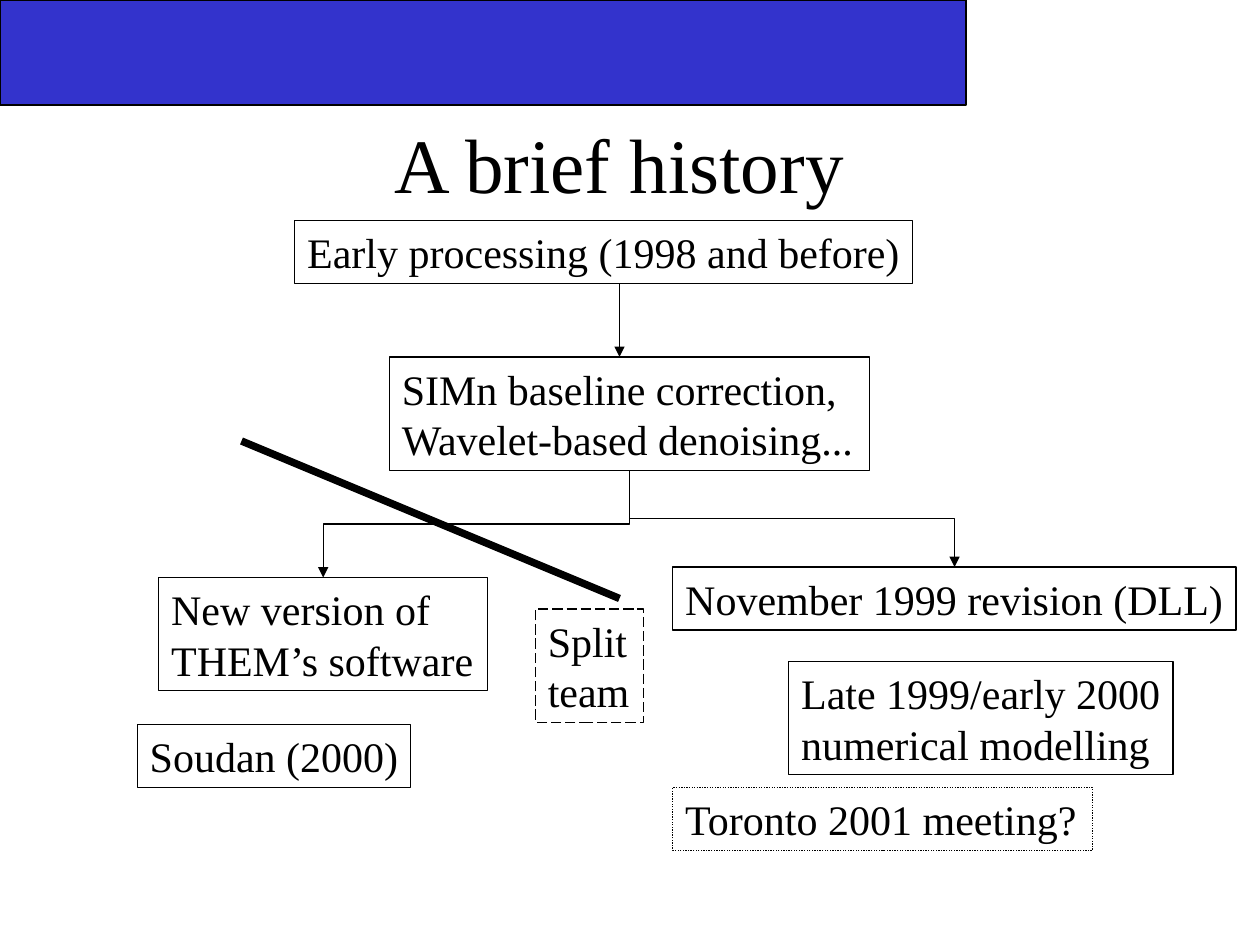
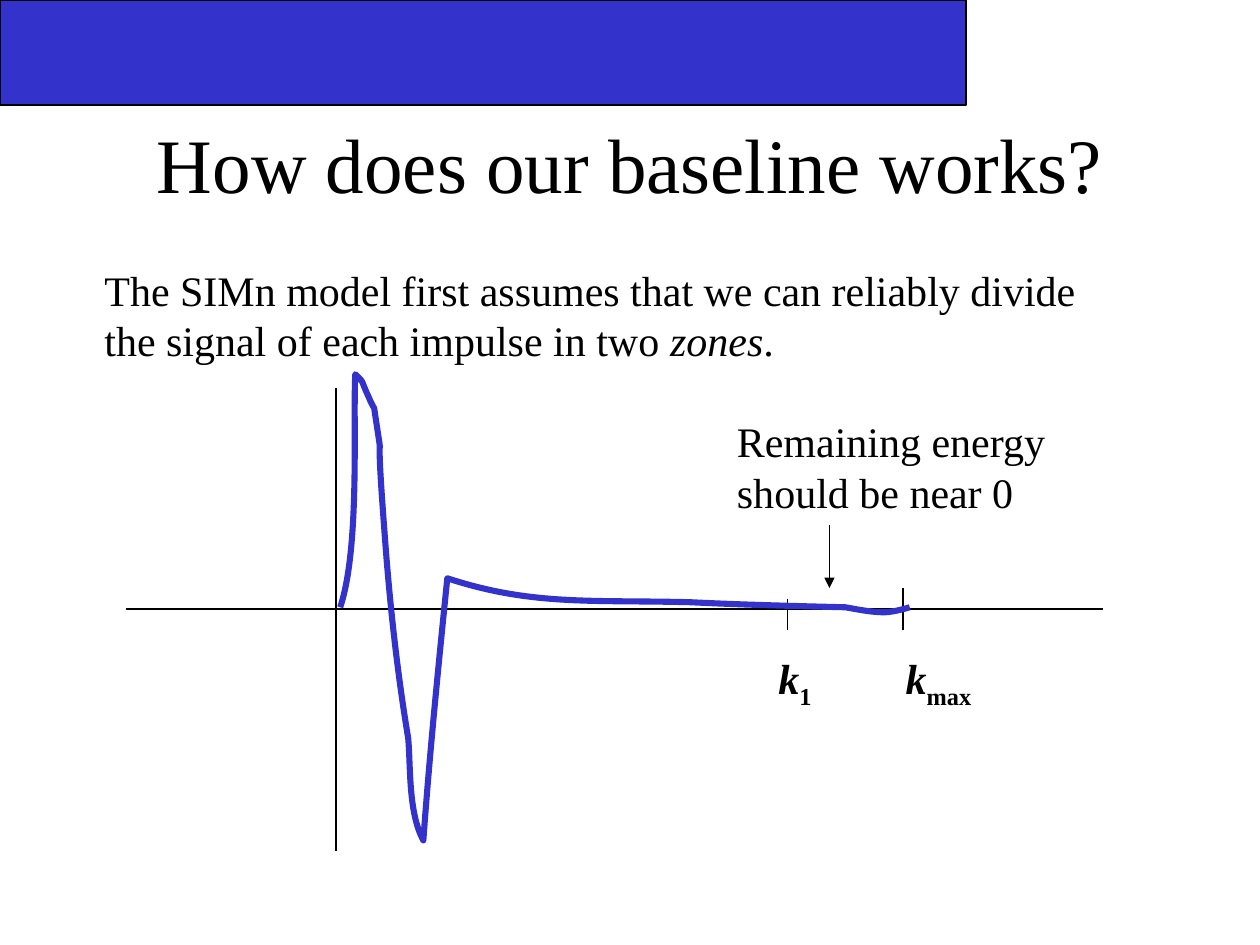
from lxml import etree
from pptx import Presentation
from pptx.dml.color import RGBColor
from pptx.enum import dml, shapes, text
from pptx.oxml.ns import qn
from pptx.util import Inches, Pt

BLACK = RGBColor(0x00, 0x00, 0x00)
BLUE = RGBColor(0x33, 0x33, 0xCC)
FONT = "Times New Roman"
BODY_SIZE, TITLE_SIZE = 24, 44
THIN, THICK, CURVE = 0.75, 4.25, 3.5
LINE_HEIGHT, PADDING = 0.4, 0.1
GRID = 12
BOTTOM, TOP = 2, 0

# Offsets from the axes' crossing: control, control, end of each Bézier piece
IMPULSE_START = (0.03, -0.01)
IMPULSE_PIECES = [
    ((0.19, -0.49), (0.13, -1.49), (0.15, -1.86)),
    ((0.23, -1.78), (0.18, -1.84), (0.26, -1.67)),
    ((0.27, -1.64), (0.30, -1.59), (0.30, -1.59)),
    ((0.39, -0.98), (0.30, -1.68), (0.38, -0.63)),
    ((0.42, -0.07), (0.48, 0.49), (0.57, 1.03)),
    ((0.59, 1.26), (0.57, 1.62), (0.69, 1.84)),
    ((0.74, 1.15), (0.81, 0.45), (0.88, -0.24)),
    ((1.55, -0.02), (2.03, -0.07), (2.81, -0.05)),
    ((3.22, -0.03), (3.63, -0.02), (4.04, -0.01)),
    ((4.15, 0.01), (4.25, 0.03), (4.35, 0.03)),
    ((4.42, 0.03), (4.55, -0.01), (4.55, -0.01)),
]


def snap(length):
    """Move a length in inches to the nearest twelfth."""
    return Inches(round(length * GRID) / GRID)


def set_font(paragraph, size):
    paragraph.font.name = FONT
    paragraph.font.size = Pt(size)
    paragraph.font.color.rgb = BLACK


def set_outline(shape, color=BLACK, width=THIN, dash=None):
    shape.line.color.rgb = color
    shape.line.width = Pt(width)
    if dash:
        shape.line.dash_style = dash


def add_titled_slide(presentation, title, left):
    """Add a slide with the shared title style and blue band."""
    slide = presentation.slides.add_slide(presentation.slide_layouts[5])
    placeholder = slide.shapes.title
    placeholder.left, placeholder.top = snap(left), snap(0.67)
    placeholder.width, placeholder.height = Inches(8.5), Inches(1.25)
    frame = placeholder.text_frame
    frame.text = title
    frame.vertical_anchor = text.MSO_ANCHOR.MIDDLE
    frame.paragraphs[0].alignment = text.PP_ALIGN.CENTER
    set_font(frame.paragraphs[0], TITLE_SIZE)

    band = slide.shapes.add_shape(
        shapes.MSO_SHAPE.RECTANGLE, 0, 0, snap(7.67), snap(0.83))
    band.shadow.inherit = False
    band.fill.solid()
    band.fill.fore_color.rgb = BLUE
    set_outline(band)
    return slide


def fill_text(shape, content, wrap=False):
    frame = shape.text_frame
    frame.text = content
    frame.word_wrap = wrap
    frame.auto_size = text.MSO_AUTO_SIZE.SHAPE_TO_FIT_TEXT
    frame.vertical_anchor = text.MSO_ANCHOR.TOP
    for paragraph in frame.paragraphs:
        paragraph.alignment = text.PP_ALIGN.LEFT
        set_font(paragraph, BODY_SIZE)
    return frame


def text_height(content):
    return LINE_HEIGHT * (content.count("\n") + 1) + PADDING


def add_box(slide, left, top, width, content, dash=None, wrap=False):
    box = slide.shapes.add_shape(
        shapes.MSO_SHAPE.RECTANGLE, Inches(left), snap(top),
        Inches(width), Inches(text_height(content)))
    box.shadow.inherit = False
    box.fill.background()
    set_outline(box, dash=dash)
    fill_text(box, content, wrap)
    return box


def add_label(slide, left, top, width, content, height=None):
    label = slide.shapes.add_textbox(
        Inches(left), Inches(top), Inches(width),
        Inches(height or text_height(content)))
    return fill_text(label, content)


def finish_connector(connector, width, arrow):
    set_outline(connector, width=width)
    if arrow:
        line = connector.line._get_or_add_ln()
        etree.SubElement(line, qn("a:tailEnd"), type="triangle")
    etree.SubElement(connector._element.spPr, qn("a:effectLst"))


def add_line(slide, x1, y1, x2, y2, width=THIN, arrow=False):
    connector = slide.shapes.add_connector(
        shapes.MSO_CONNECTOR.STRAIGHT, snap(x1), snap(y1), snap(x2), snap(y2))
    finish_connector(connector, width, arrow)


def add_branch(slide, parent, child):
    """Join parent's bottom to child's top by a bend that leaves downwards."""
    x1, y1 = parent.left + parent.width // 2, parent.top + parent.height
    x2, y2 = child.left + child.width // 2, child.top
    connector = slide.shapes.add_connector(
        shapes.MSO_CONNECTOR.ELBOW, x1, y1, x2, y2)
    connector.begin_connect(parent, BOTTOM)
    connector.end_connect(child, TOP)
    # The preset bend runs sideways, so its frame is turned a quarter
    width, height = y2 - y1, abs(x2 - x1)
    connector.left = (x1 + x2 - width) // 2
    connector.top = (y1 + y2 - height) // 2
    connector.width, connector.height = width, height
    to_right = x2 > x1
    transform = connector._element.spPr.find(qn("a:xfrm"))
    transform.set("rot", str((270 if to_right else 90) * 60000))
    transform.set("flipH", str(int(to_right)))
    finish_connector(connector, THIN, arrow=True)


def draw_history(slide, left, top):
    """Draw the flow of versions from its top-left corner."""
    def box(x, y, width, content, **style):
        return add_box(slide, left + x, top + y, width, content, **style)

    box(1.34, 0, 4.9, "Early processing (1998 and before)")
    baseline = box(2.09, 1.08, 3.81,
                   "SIMn baseline correction,\nWavelet-based denoising...")
    revision = box(4.34, 2.75, 4.47, "November 1999 revision (DLL)")
    box(4.34, 4.5, 3.33, "Toronto 2001 meeting?",
        dash=dml.MSO_LINE.ROUND_DOT)
    box(0.09, 4, 2.17, "Soudan (2000)")
    new_version = box(0.26, 2.83, 2.61, "New version of\nTHEM’s software")
    for child in (new_version, revision):
        add_branch(slide, baseline, child)
    box(5.26, 3.5, 3.05, "Late 1999/early 2000\nnumerical modelling")
    add_line(slide, left + 3.92, top + 0.5, left + 3.92, top + 1.08, arrow=True)
    add_line(slide, left + 0.92, top + 1.75, left + 3.92, top + 3, width=THICK)
    box(3.25, 3.08, 0.86, "Split\nteam", dash=dml.MSO_LINE.LONG_DASH, wrap=True)


def bend_segments(shape):
    """Turn each three straight segments of an outline into one Bézier curve."""
    segments = list(shape._element.iter(qn("a:lnTo")))
    for first in range(0, len(segments), 3):
        curve = etree.Element(qn("a:cubicBezTo"))
        segments[first].addprevious(curve)
        for segment in segments[first:first + 3]:
            curve.append(segment[0])
            segment.getparent().remove(segment)


def draw_impulse(slide, x0, y0):
    """Draw the signal and its axes around their crossing."""
    def place(point):
        return Inches(x0 + point[0]), Inches(y0 + point[1])

    add_line(slide, x0, y0 - 1.75, x0, y0 + 1.92)
    add_line(slide, x0 - 1.67, y0, x0 + 6.08, y0)
    for x, rise, label_x, width, subscript in (
            (3.58, 0.08, 3.41, 0.46, "1"), (4.5, 0.16, 4.42, 0.8, "max")):
        add_line(slide, x0 + x, y0 - rise, x0 + x, y0 + 0.17)
        frame = add_label(slide, x0 + label_x, y0 + 0.3, width, "k", 0.56)
        paragraph = frame.paragraphs[0]
        paragraph.font.bold = True
        paragraph.runs[0].font.italic = True
        run = paragraph.add_run()
        run.text = subscript
        run._r.get_or_add_rPr().set("baseline", "-25000")

    builder = slide.shapes.build_freeform(*place(IMPULSE_START))
    builder.add_line_segments(
        [place(point) for piece in IMPULSE_PIECES for point in piece],
        close=False)
    impulse = builder.convert_to_shape()
    bend_segments(impulse)
    impulse.shadow.inherit = False
    impulse.fill.background()
    set_outline(impulse, BLUE, CURVE)

    add_line(slide, x0 + 3.91, y0 - 0.66, x0 + 3.91, y0 - 0.16, arrow=True)
    add_label(slide, x0 + 3.08, y0 - 1.58, 2.65,
              "Remaining energy\nshould be near 0")


def draw_introduction(slide, left, top):
    frame = add_label(
        slide, left, top, 7.91,
        "The SIMn model first assumes that we can reliably divide\n"
        "the signal of each impulse in two ")
    paragraph = frame.paragraphs[1]
    for content, italic in (("zones", True), (".", False)):
        run = paragraph.add_run()
        run.text = content
        run.font.italic = italic


def main():
    presentation = Presentation()
    presentation.slide_width = Inches(10)
    presentation.slide_height = Inches(7.5)

    history = add_titled_slide(presentation, "A brief history", 0.67)
    draw_history(history, 1, 1.75)

    baseline = add_titled_slide(
        presentation, "How does our baseline works?", 0.75)
    draw_introduction(baseline, 0.73, 2.05)
    draw_impulse(baseline, 2.67, 4.83)

    presentation.save("out.pptx")


if __name__ == "__main__":
    main()
